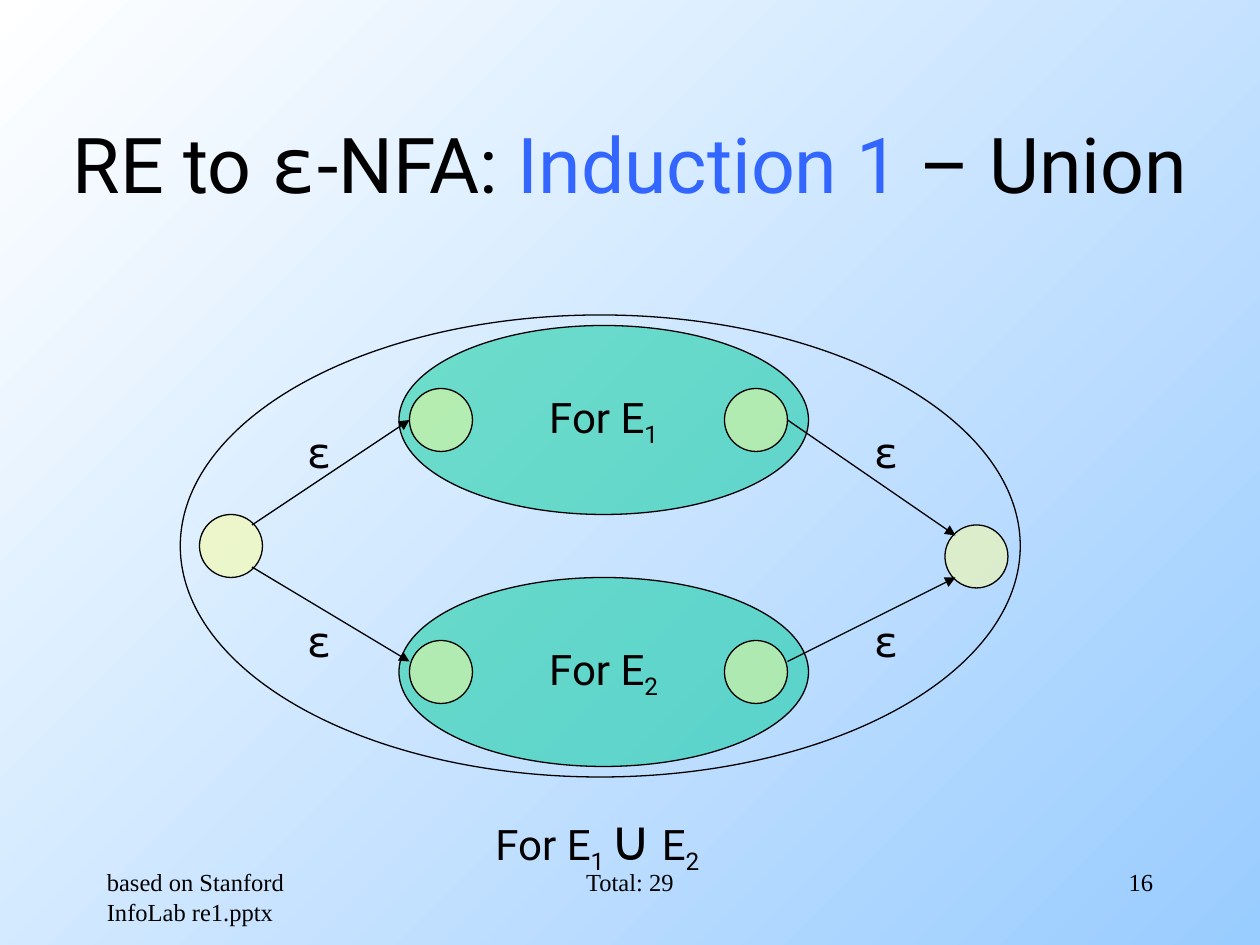
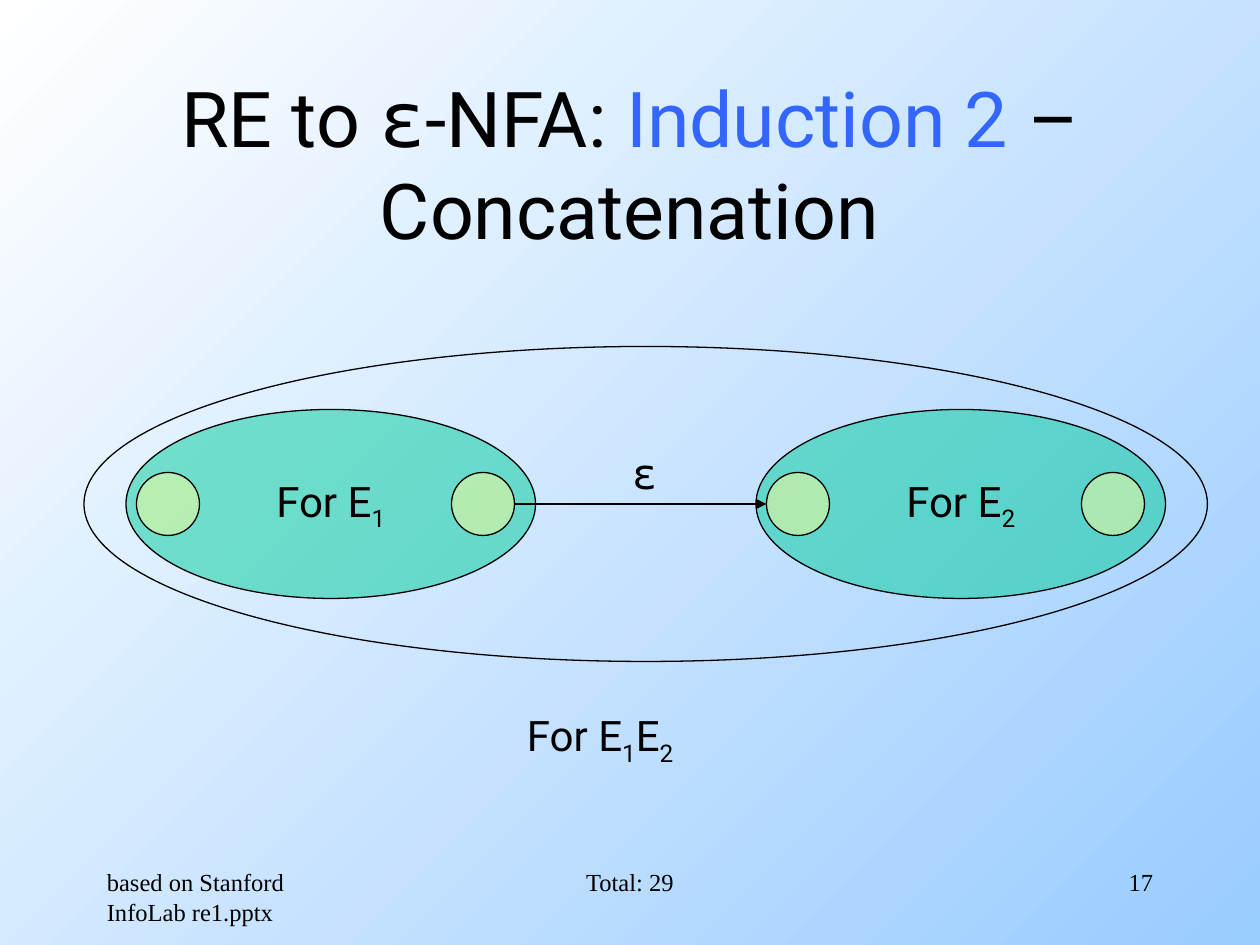
from lxml import etree
from pptx import Presentation
from pptx.dml.color import RGBColor
from pptx.enum.shapes import MSO_CONNECTOR, MSO_SHAPE
from pptx.enum.text import MSO_ANCHOR, MSO_AUTO_SIZE, PP_ALIGN
from pptx.oxml.ns import qn
from pptx.util import Pt

BLACK = RGBColor(0x00, 0x00, 0x00)
WHITE = RGBColor(0xFF, 0xFF, 0xFF)
SKY = RGBColor(0x99, 0xCC, 0xFF)
BLUE = RGBColor(0x33, 0x66, 0xFF)
GREEN = RGBColor(0x00, 0xCC, 0x99)
YELLOW = RGBColor(0xFF, 0xFF, 0x99)

OVAL = MSO_SHAPE.OVAL
STRAIGHT = MSO_CONNECTOR.STRAIGHT
LEFT, CENTER, RIGHT = PP_ALIGN.LEFT, PP_ALIGN.CENTER, PP_ALIGN.RIGHT
TOP, MIDDLE = MSO_ANCHOR.TOP, MSO_ANCHOR.MIDDLE
FIT_SHAPE = MSO_AUTO_SIZE.SHAPE_TO_FIT_TEXT

SANS, GREEK, SERIF = "Roboto", "DejaVu Sans Mono", "Times New Roman"
PAGE_WIDTH, PAGE_HEIGHT = 720, 540
LINE_WIDTH = 0.75
NODE = 36
COMPONENT_WIDTH, COMPONENT_HEIGHT = 234, 108
NODE_INSET = 6  # from the component's left edge to its start node
NODE_STEP = 180  # from a component's start node to its final node

SUB = {"baseline": -25}
E1 = [("E", {}), ("1", SUB)]
E2 = [("E", {}), ("2", SUB)]


def write(para, text, font=SANS, size=24, color=BLACK, baseline=0):
    span = para.add_run()
    span.text = text
    span.font.name = font
    span.font.size = Pt(size)
    span.font.color.rgb = color
    if baseline:
        span._r.get_or_add_rPr().set("baseline", str(baseline * 1000))


def fill_text(shape, spans, align=LEFT, anchor=TOP, wrap=True, **base):
    """Write (text, format) spans into a shape; base is their common format."""
    frame = shape.text_frame
    frame.word_wrap = wrap
    frame.vertical_anchor = anchor
    para = frame.paragraphs[0]
    para.alignment = align
    for text, changes in spans:
        write(para, text, **{**base, **changes})


def add_text(page, spans, left, top, width, height, **layout):
    box = page.shapes.add_textbox(Pt(left), Pt(top), Pt(width), Pt(height))
    fill_text(box, spans, **layout)
    return box


def add_label(page, spans, left, top, width, height=36):
    box = add_text(page, spans, left, top, width, height, wrap=False)
    box.text_frame.auto_size = FIT_SHAPE


def add_ellipse(page, left, top, width, height, color=None):
    """Outlined ellipse; a given color fills it half transparent."""
    ellipse = page.shapes.add_shape(OVAL, Pt(left), Pt(top), Pt(width), Pt(height))
    ellipse.shadow.inherit = False
    ellipse.line.color.rgb = BLACK
    ellipse.line.width = Pt(LINE_WIDTH)
    if color is None:
        ellipse.fill.background()
    else:
        ellipse.fill.solid()
        ellipse.fill.fore_color.rgb = color
        tint = ellipse._element.spPr.find(qn("a:solidFill")).find(qn("a:srgbClr"))
        etree.SubElement(tint, qn("a:alpha")).set("val", "50000")
    return ellipse


def add_node(page, left, top):
    add_ellipse(page, left, top, NODE, NODE, YELLOW)


def add_arrow(page, start, end):
    arrow = page.shapes.add_connector(STRAIGHT, *(Pt(part) for part in start + end))
    arrow.line.color.rgb = BLACK
    arrow.line.width = Pt(LINE_WIDTH)
    properties = arrow._element.spPr
    outline = properties.find(qn("a:ln"))
    etree.SubElement(outline, qn("a:tailEnd")).set("type", "triangle")
    etree.SubElement(properties, qn("a:effectLst"))


def add_epsilon(page, left, top):
    add_label(page, [("ε", {"font": GREEK})], left, top, 27)


def add_component(page, expression, left, top):
    """Automaton for one expression, with its start and final nodes."""
    body = add_ellipse(page, left, top, COMPONENT_WIDTH, COMPONENT_HEIGHT, GREEN)
    fill_text(body, [("For ", {})] + expression, align=CENTER, anchor=MIDDLE, wrap=False)
    node_top = top + (COMPONENT_HEIGHT - NODE) / 2
    for step in (NODE_STEP, 0):
        add_node(page, left + NODE_INSET + step, node_top)


def draw_union(page, left, top, width, height):
    for expression, offset in ((E1, 6), (E2, 150)):
        add_component(page, expression, left + 125, top + offset)
    add_ellipse(page, left, top, width, height)
    union = [("For ", {}), *E1, (" ", SUB), ("∪", {"size": 32}), (" ", {}), *E2]
    add_label(page, union, left + 173, top + height + 12, 140, 45)

    add_node(page, left + 11, top + 114)
    add_node(page, left + 437, top + 120)
    for start, end in (
        ((41, 120), (131, 60)),
        ((41, 144), (131, 198)),
        ((347, 60), (443, 126)),
        ((347, 198), (443, 150)),
    ):
        add_arrow(page, (left + start[0], top + start[1]), (left + end[0], top + end[1]))
    for x in (65, 389):
        for y in (60, 168):
            add_epsilon(page, left + x, top + y)


def draw_concatenation(page, left, top, width, height):
    for expression, offset in ((E1, 24), (E2, 384)):
        add_component(page, expression, left + offset, top + 36)
    add_ellipse(page, left, top, width, height)
    add_label(page, [("For ", {}), *E1, *E2], left + 246, top + height + 24, 101)
    middle = top + height / 2
    add_arrow(page, (left + 246, middle), (left + 390, middle))
    add_epsilon(page, left + 306, middle - 36)


def add_title(page, step, operation):
    spans = [
        ("RE to ", {}),
        ("ε", {"font": GREEK}),
        ("-NFA: ", {}),
        (f"Induction {step}", {"color": BLUE}),
        (f" – {operation}", {}),
    ]
    add_text(page, spans, 0, 48, PAGE_WIDTH, 90, align=CENTER, anchor=MIDDLE, size=44)


def add_footer(page, number):
    for text, left, width, align in (
        ("based on Stanford InfoLab re1.pptx", 54, 150, LEFT),
        ("Total: 29", 246, 228, CENTER),
        (str(number), 516, 150, RIGHT),
    ):
        add_text(page, [(text, {})], left, 492, width, 36, align=align, font=SERIF, size=14)


def add_page(deck, number, step, operation):
    page = deck.slides.add_slide(deck.slide_layouts[6])
    fill = page.background.fill
    fill.gradient()
    fill.gradient_angle = 315
    for stop, color, position in zip(fill.gradient_stops, (WHITE, SKY), (0, 1)):
        stop.color.rgb = color
        stop.position = position
    add_title(page, step, operation)
    add_footer(page, number)
    return page


def main():
    deck = Presentation()
    deck.slide_width, deck.slide_height = Pt(PAGE_WIDTH), Pt(PAGE_HEIGHT)
    draw_union(add_page(deck, 16, 1, "Union"), 103, 180, 480, 264)
    draw_concatenation(add_page(deck, 17, 2, "Concatenation"), 48, 198, 642, 180)
    deck.save("out.pptx")


if __name__ == "__main__":
    main()
